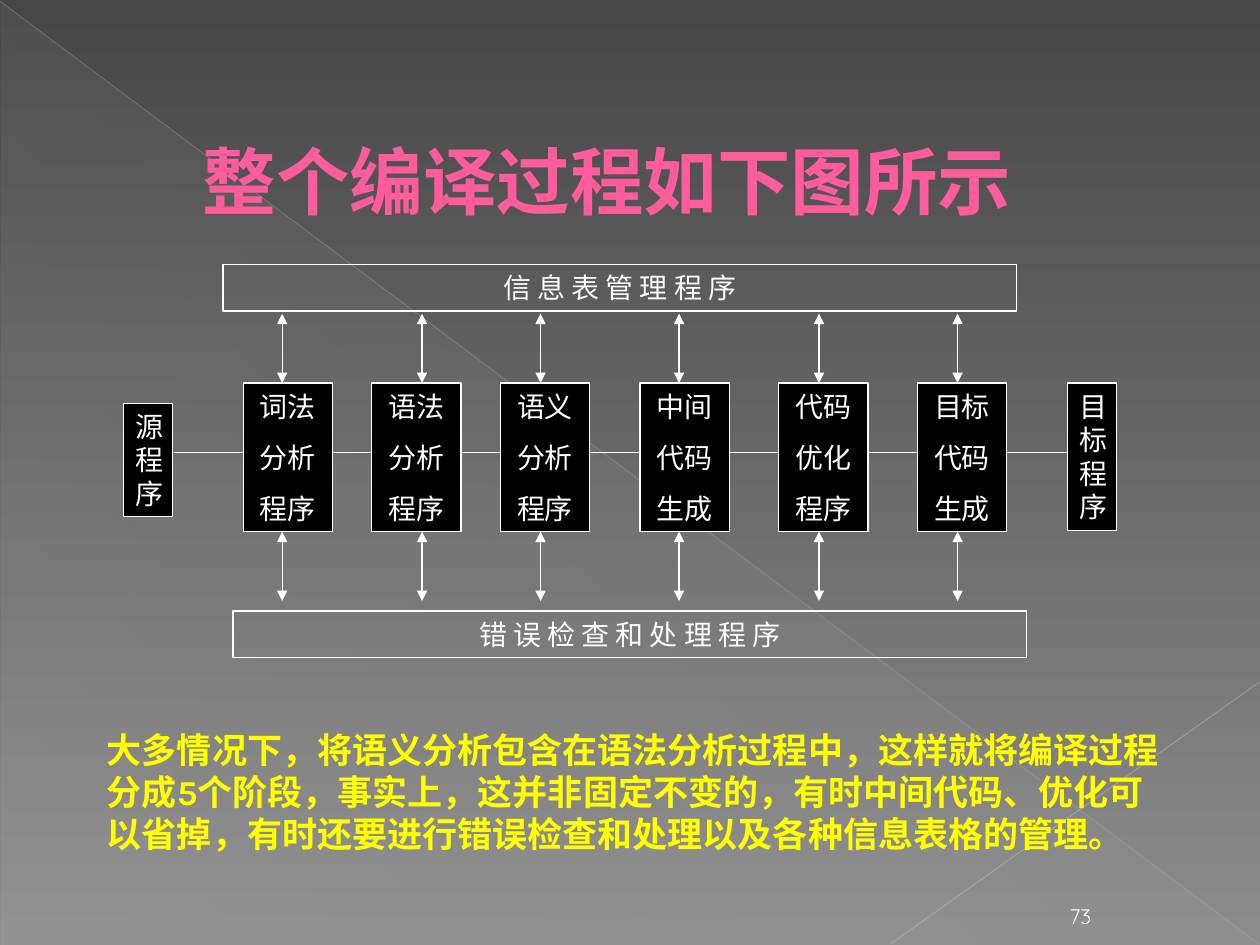
from dataclasses import dataclass

from lxml import etree
from pptx import Presentation
from pptx.dml.color import RGBColor
from pptx.enum.lang import MSO_LANGUAGE_ID
from pptx.enum.shapes import MSO_CONNECTOR, MSO_SHAPE
from pptx.enum.text import MSO_ANCHOR, PP_ALIGN
from pptx.oxml.ns import qn
from pptx.util import Inches, Pt

CHINESE = MSO_LANGUAGE_ID.SIMPLIFIED_CHINESE
STRAIGHT = MSO_CONNECTOR.STRAIGHT
RECT, TRIANGLE = MSO_SHAPE.RECTANGLE, MSO_SHAPE.RIGHT_TRIANGLE
TOP, BOTTOM = MSO_ANCHOR.TOP, MSO_ANCHOR.BOTTOM
LEFT, CENTER = PP_ALIGN.LEFT, PP_ALIGN.CENTER


@dataclass(frozen=True)
class Theme:
    heading_font: str = "Quicksand"
    body_font: str = "Karla"
    title: str = "FF5C9C"
    note: str = "FFFF00"
    white: str = "FFFFFF"
    box: str = "000000"
    back_top: str = "474747"
    back_bottom: str = "8C8C8C"
    wedge: str = "D2D2D2"
    diagonal: str = "BFBFBF"
    corner: str = "C6C6C6"
    title_size: float = 42
    note_size: float = 20
    label_size: float = 16
    number_size: float = 12
    line_width: float = 0.75


T = Theme()

TITLE = "整个编译过程如下图所示"
NOTE = (
    "大多情况下，将语义分析包含在语法分析过程中，这样就将编译过程分成5个阶段，"
    "事实上，这并非固定不变的，有时中间代码、优化可以省掉，"
    "有时还要进行错误检查和处理以及各种信息表格的管理。"
)
PAGE = "73"
STAGES = [
    (1.93, 2.24, ["词法", "分析", "程序"]),
    (2.95, 3.35, ["语法", "分析", "程序"]),
    (3.97, 4.29, ["语义", "分析", "程序"]),
    (5.08, 5.39, ["中间", "代码", "生成"]),
    (6.18, 6.5, ["代码", "优化", "程序"]),
    (7.28, 7.6, ["目标", "代码", "生成"]),
]
ENDS = [
    ((0.98, 3.2, 0.39, 0.9), "源程序"),
    ((8.47, 3.04, 0.39, 1.17), "目标程序"),
]
BARS = [
    ((1.77, 2.1, 6.3, 0.37), "信 息 表 管 理 程 序"),
    ((1.85, 4.85, 6.3, 0.37), "错 误 检 查 和 处 理 程 序"),
]
STAGE_TOP, STAGE_W, STAGE_H = 3.04, 0.71, 1.18
ARROW_TOPS, ARROW_LEN = (2.49, 4.22), 0.55
FLOW = (1.38, 3.59, 8.47, 3.59)


def rgb(value):
    return RGBColor.from_string(value)


def set_alpha(color, percent):
    etree.SubElement(color, qn("a:alpha")).set("val", str(percent * 1000))


def set_gradient(fill, colors, angle):
    fill.gradient()
    fill.gradient_angle = angle
    for stop, color in zip(fill.gradient_stops, colors):
        stop.color.rgb = rgb(color)


def write(shape, lines, size, color, font=T.body_font, bold=False,
          align=CENTER, anchor=TOP):
    tf = shape.text_frame
    tf.word_wrap = True
    tf.vertical_anchor = anchor
    tf.text = "\n".join(lines)
    for i, p in enumerate(tf.paragraphs):
        p.alignment = align
        p.space_before = Pt(10 if i else 0)
        for r in p.runs:
            r.font.name = font
            r.font.size = Pt(size)
            r.font.bold = bold
            r.font.color.rgb = rgb(color)
            r.font.language_id = CHINESE
    return tf


def add_text(slide, at, text, size, color, **style):
    box = slide.shapes.add_textbox(*map(Inches, at))
    return write(box, [text], size, color, **style)


def add_box(slide, at, lines, fill=None):
    sp = slide.shapes.add_shape(RECT, *map(Inches, at))
    sp.shadow.inherit = False
    if fill:
        sp.fill.solid()
        sp.fill.fore_color.rgb = rgb(fill)
    else:
        sp.fill.background()
    sp.line.color.rgb = rgb(T.white)
    sp.line.width = Pt(T.line_width)
    write(sp, lines, T.label_size, T.white)


def add_line(slide, ends, color=T.white, width=T.line_width, alpha=None,
             arrows=False):
    cx = slide.shapes.add_connector(STRAIGHT, *map(Inches, ends))
    cx.line.color.rgb = rgb(color)
    cx.line.width = Pt(width)
    etree.SubElement(cx._element.spPr, qn("a:effectLst"))
    ln = cx.line._get_or_add_ln()
    if alpha:
        set_alpha(ln.find(".//" + qn("a:srgbClr")), alpha)
    if arrows:
        for tag in ("a:headEnd", "a:tailEnd"):
            etree.SubElement(ln, qn(tag)).set("type", "triangle")


def add_backdrop(slide):
    set_gradient(slide.background.fill, (T.back_top, T.back_bottom), 270)
    sp = slide.shapes.add_shape(TRIANGLE, *map(Inches, (0.01, 0.02, 9.99, 7.48)))
    sp.shadow.inherit = False
    sp.line.fill.background()
    set_gradient(sp.fill, (T.wedge, T.wedge), 227)
    stops = sp._element.spPr.findall(".//" + qn("a:gs"))
    for stop, percent in zip(stops, (1, 10)):
        set_alpha(stop[0], percent)
    add_line(slide, (0, 0.01, 9.99, 7.49), T.diagonal, 0.4, 35)
    add_line(slide, (10, 5.41, 7.07, 7.49), T.corner, 0.48, 45)


def add_diagram(slide):
    add_line(slide, FLOW)
    for at, text in ENDS:
        add_box(slide, at, [text], T.box)
    for left, _, lines in STAGES:
        add_box(slide, (left, STAGE_TOP, STAGE_W, STAGE_H), lines, T.box)
    for at, text in BARS:
        add_box(slide, at, [text])
    for top in ARROW_TOPS:
        for _, x, _ in STAGES:
            add_line(slide, (x, top, x, top + ARROW_LEN), arrows=True)


def main():
    prs = Presentation()
    prs.slide_width, prs.slide_height = Inches(10), Inches(7.5)
    slide = prs.slides.add_slide(prs.slide_layouts[6])
    add_backdrop(slide)
    add_text(slide, (8.3, 7.09, 0.55, 0.33), PAGE, T.number_size, T.white,
             font=T.heading_font, anchor=BOTTOM)
    tf = add_text(slide, (1.26, 0.23, 8.52, 1.6), TITLE, T.title_size, T.title,
                  font=T.heading_font, bold=True, align=LEFT, anchor=BOTTOM)
    tf.margin_left = Inches(0.35)
    add_diagram(slide)
    add_text(slide, (0.75, 5.73, 8.58, 1.1), NOTE, T.note_size, T.note,
             bold=True, align=LEFT)
    prs.save("out.pptx")


if __name__ == "__main__":
    main()
